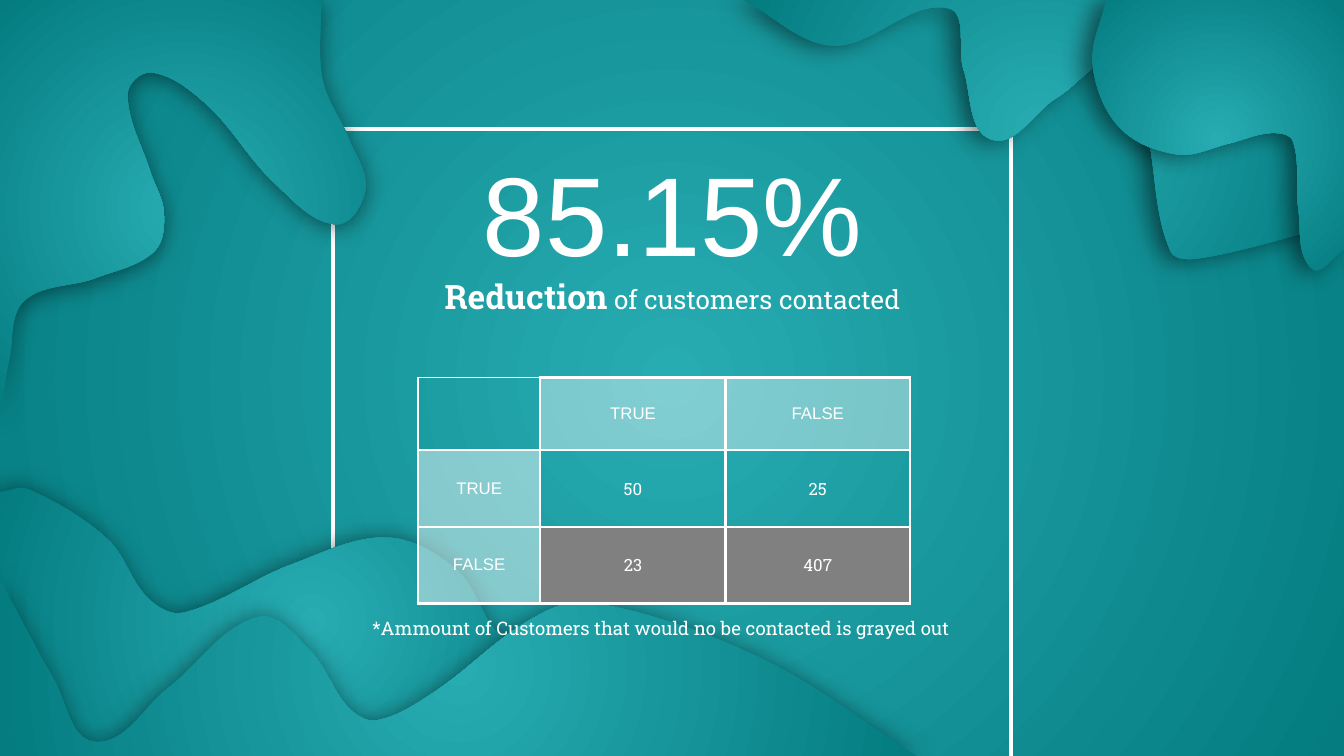
import math
from dataclasses import dataclass

from lxml import etree
from pptx import Presentation
from pptx import util as u
from pptx.dml.color import RGBColor
from pptx.enum import shapes, text
from pptx.oxml.ns import qn


@dataclass(frozen=True)
class Theme:
    white: str = "FFFFFF"
    gray: str = "808080"
    light: str = "27ACB2"
    dark: str = "047C80"
    shadow: str = "000000"
    sans: str = "Arial"
    slab: str = "Roboto Slab"
    big: int = 60
    strong: int = 18
    body: int = 14
    note: int = 10
    cell: int = 9


def sub(parent, tag, **attrs):
    return etree.SubElement(parent, qn(tag), {k: str(v) for k, v in attrs.items()})


def smooth(points):
    """Bezier points (two handles and an end per span) through all points."""
    def handle(i, length):
        (ax, ay), (bx, by) = points[max(i - 1, 0)], points[min(i + 1, len(points) - 1)]
        scale = length / math.dist((ax, ay), (bx, by))
        return points[i][0] + (bx - ax) * scale, points[i][1] + (by - ay) * scale

    curve = []
    for i, end in enumerate(points[1:]):
        third = math.dist(points[i], end) / 3
        curve += [handle(i, third), handle(i + 1, -third), end]
    return curve


class Deck:
    def __init__(self, theme):
        self.t = theme
        self.prs = Presentation()
        self.prs.slide_width = u.Inches(10)
        self.prs.slide_height = u.Inches(10) * 9 // 16
        self.s = self.prs.slides.add_slide(self.prs.slide_layouts[6])

    def radial(self, fill, owner):
        """Gradient that spreads in circles from the centre."""
        fill.gradient()
        for stop, color in zip(fill.gradient_stops, (self.t.light, self.t.dark)):
            stop.color.rgb = RGBColor.from_string(color)
        grad = owner.find(".//" + qn("a:gradFill"))
        grad.remove(grad.find(qn("a:lin")))
        circle = sub(grad, "a:path", path="circle")
        sub(circle, "a:fillToRect", l=50000, t=50000, r=50000, b=50000)

    def background(self):
        self.radial(self.s.background.fill, self.s.element)

    def frame(self, x, y, w, h, weight):
        sp = self.s.shapes.add_shape(shapes.MSO_SHAPE.RECTANGLE, *map(u.Inches, (x, y, w, h)))
        sp.shadow.inherit = False
        sp.fill.background()
        sp.line.color.rgb = RGBColor.from_string(self.t.white)
        sp.line.width = u.Pt(weight)

    def wave(self, corner, edge, distance=1.5, angle=177):
        """Slide corner closed off by a smooth edge, with a soft shadow."""
        fb = self.s.shapes.build_freeform(*map(u.Inches, corner))
        fb.add_line_segments([tuple(map(u.Inches, p)) for p in [edge[0], *smooth(edge)]])
        sp = fb.convert_to_shape()

        # Gather every three points after the first line into one Bezier command
        outline = sp.element.find(".//" + qn("a:path"))
        steps = outline.findall(qn("a:lnTo"))[1:]
        for i in range(0, 3 * (len(edge) - 1), 3):
            curve = etree.Element(qn("a:cubicBezTo"))
            steps[i].addprevious(curve)
            for step in steps[i:i + 3]:
                curve.append(step[0])
                outline.remove(step)

        self.radial(sp.fill, sp.element.spPr)
        sp.line.fill.background()
        sp.shadow.inherit = False
        effects = sp.element.spPr.find(qn("a:effectLst"))
        shadow = sub(effects, "a:outerShdw", blurRad=u.Pt(12.4), dist=u.Pt(distance),
                     dir=angle * 60000, algn="bl", rotWithShape=0)
        sub(sub(shadow, "a:srgbClr", val=self.t.shadow), "a:alpha", val=50000)

    def run(self, p, words, size, font, bold=False):
        r = p.add_run()
        r.text = words
        r.font.size, r.font.name, r.font.bold = u.Pt(size), font, bold
        r.font.color.rgb = RGBColor.from_string(self.t.white)

    def text(self, box, runs, margins=(0.07, 0.04), align=text.PP_ALIGN.CENTER,
             anchor=text.MSO_ANCHOR.TOP, wrap=True, before=0, spacing=1.0):
        tf = self.s.shapes.add_textbox(*map(u.Inches, box)).text_frame
        tf.word_wrap, tf.vertical_anchor = wrap, anchor
        if not wrap:
            tf.auto_size = text.MSO_AUTO_SIZE.SHAPE_TO_FIT_TEXT
        tf.margin_left = tf.margin_right = u.Inches(margins[0])
        tf.margin_top = tf.margin_bottom = u.Inches(margins[1])
        p = tf.paragraphs[0]
        p.alignment, p.space_before, p.line_spacing = align, u.Pt(before), spacing
        for r in runs:
            self.run(p, *r)

    def borders(self, cell, sides):
        tc_pr = cell._tc.get_or_add_tcPr()
        for i, side in enumerate(sides):
            ln = etree.Element(qn("a:ln" + side), w=str(u.Pt(1.5)))
            sub(sub(ln, "a:solidFill"), "a:srgbClr", val=self.t.white)
            tc_pr.insert(i, ln)

    def table(self, x, y, widths, heights, rows, style):
        """style(row, column) gives font, fill colour and opacity in percent."""
        size = (sum(widths), sum(heights))
        tb = self.s.shapes.add_table(len(rows), len(widths),
                                     *map(u.Inches, (x, y, *size))).table
        tb.first_row = tb.horz_banding = False
        for col, w in zip(tb.columns, widths):
            col.width = u.Inches(w)
        for i, (row, h) in enumerate(zip(rows, heights)):
            tb.rows[i].height = u.Inches(h)
            for j, words in enumerate(row):
                cell = tb.cell(i, j)
                font, color, opacity = style(i, j)
                cell.fill.background()
                if color:
                    cell.fill.solid()
                    cell.fill.fore_color.rgb = RGBColor.from_string(color)
                    if opacity < 100:
                        clr = cell._tc.tcPr.find(".//" + qn("a:srgbClr"))
                        sub(clr, "a:alpha", val=opacity * 1000)
                self.borders(cell, "LRTB" if words else "RB")
                cell.vertical_anchor = text.MSO_ANCHOR.MIDDLE
                cell.margin_left = cell.margin_right = u.Inches(0.07)
                cell.margin_top = cell.margin_bottom = u.Inches(0.06)
                if words:
                    p = cell.text_frame.paragraphs[0]
                    p.alignment = text.PP_ALIGN.CENTER
                    self.run(p, words, self.t.cell, font)


def main():
    t = Theme()
    d = Deck(t)
    bottom = 5.63

    # Backdrop: frame, then waves from back to front
    d.background()
    d.frame(2.48, 0.96, 5.04, 4.73, 2.25)
    d.wave((9.95, 0), [(9.95, 1.67), (8.94, 1.92), (8.71, 1.87), (8.55, 1.05), (8.43, 0.42),
                       (7.86, 0.73), (7.38, 1.04), (7.17, 0.52), (7.05, 0.06), (6.2, 0.34),
                       (5.53, 0)], 5.2, 169)
    d.wave((0, bottom), [(0, 3.66), (0.21, 3.64), (0.8, 4.01), (1.1, 4.45), (1.36, 4.56),
                         (2.17, 4.2), (2.88, 4), (3.4, 4.24), (3.77, 4.76), (4.34, 4.79),
                         (4.64, 5.07), (4.27, bottom)])
    d.wave((10, 0), [(10, 1.86), (9.76, 2), (9.66, 1.55), (9.62, 1.05), (9.46, 0.99),
                     (9.14, 1.07), (8.76, 1.15), (8.33, 0.95), (8.13, 0.48), (8.23, 0)],
           5.2, 169)
    d.wave((0, 0), [(2.39, 0), (2.4, 0.59), (2.6, 1.04), (2.72, 1.41), (2.5, 1.67),
                    (2.04, 1.36), (1.54, 0.78), (1.13, 0.54), (0.95, 0.7), (1.12, 1.28),
                    (1.22, 1.58), (1.15, 1.87), (0.71, 2.07), (0.18, 2.24), (0.07, 2.67),
                    (0, 3.1)], angle=90)
    d.wave((0, bottom), [(0, 4.31), (0.4, 5.05), (0.71, 5.52), (1.25, 5.12), (1.92, 4.59),
                         (2.31, 4.84), (2.59, 5.26), (2.8, 5.36), (3.23, 5.15), (3.93, 4.62),
                         (4.38, 4.48), (5.65, 4.89), (6.83, bottom)])

    # Headline figure
    d.text((1.51, 1.34, 6.99, 0.79), [("85.15%", t.big, t.sans)],
           anchor=text.MSO_ANCHOR.BOTTOM, spacing=0.9)
    d.text((3.17, 2.01, 3.67, 0.43), [("Reduction", t.strong, t.slab, True),
                                      (" of customers contacted", t.body, t.slab)], before=8)

    # Confusion matrix
    def style(i, j):
        if i == 0 or j == 0:
            return t.sans, t.white if i or j else None, 47 if i else 41
        return t.slab, t.gray if i == 2 else None, 100

    d.table(3.11, 2.81, (0.91, 1.38, 1.37), (0.54, 0.57, 0.57),
            [("", "TRUE", "FALSE"), ("TRUE", "50", "25"), ("FALSE", "23", "407")], style)

    # Footnote
    d.text((2.67, 4.54, 4.54, 0.27),
           [("*Ammount of Customers that would no be contacted is grayed out", t.note, t.slab)],
           margins=(0.1, 0.05), align=text.PP_ALIGN.LEFT, wrap=False)
    d.prs.save("out.pptx")


if __name__ == "__main__":
    main()
